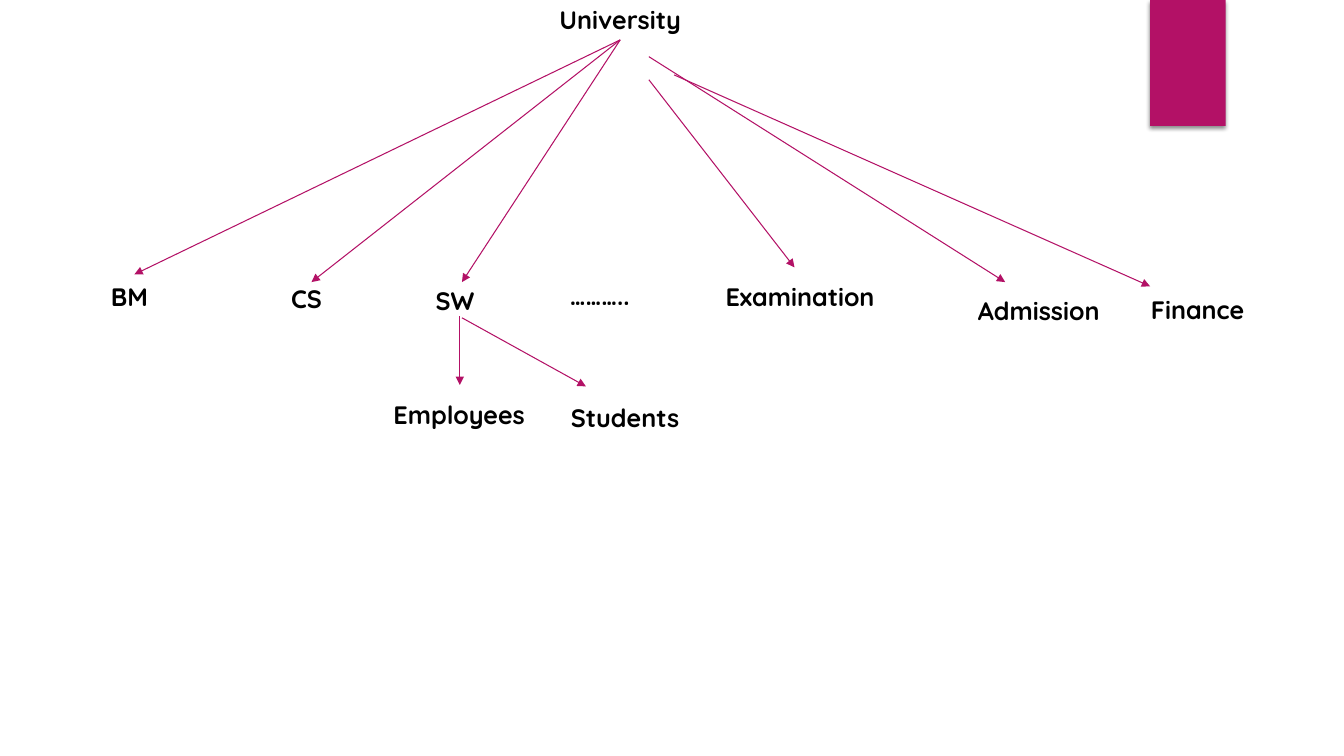
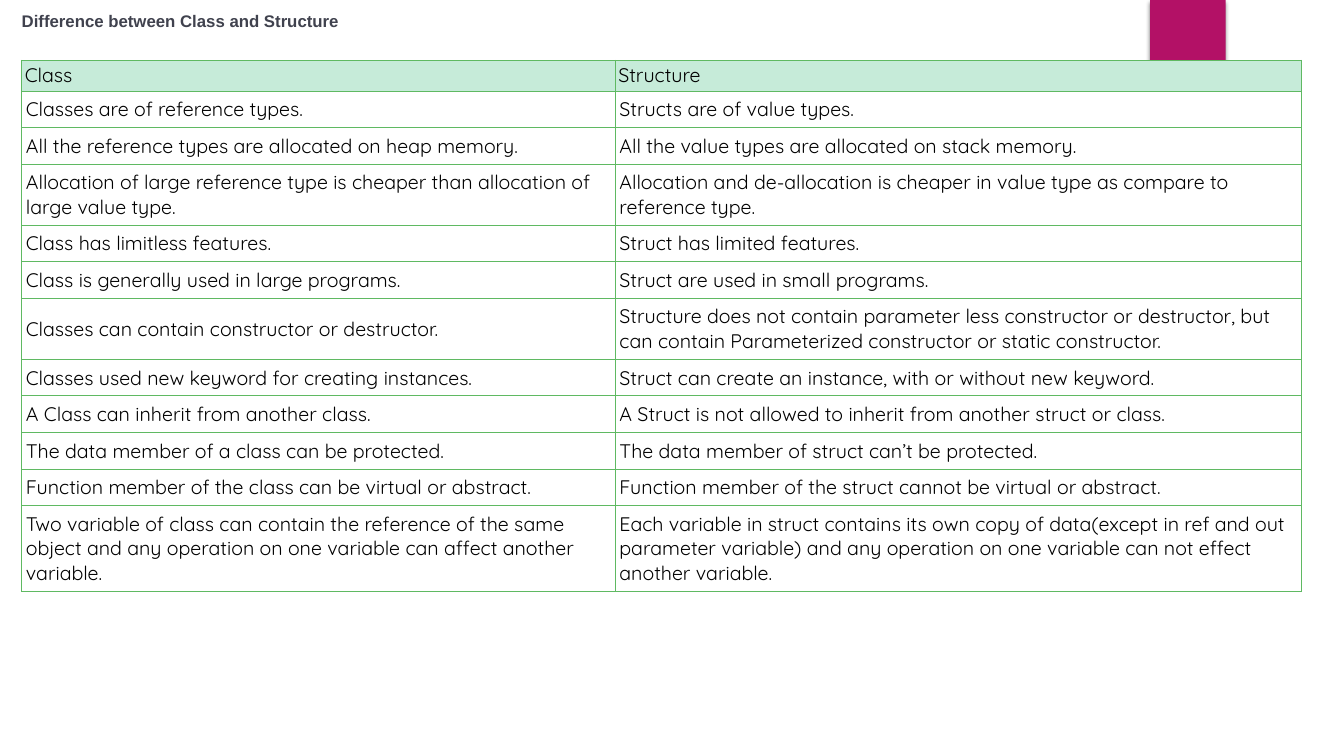
from lxml import etree
from pptx import Presentation
from pptx.dml.color import RGBColor
from pptx.enum.shapes import MSO_CONNECTOR, MSO_SHAPE
from pptx.enum.text import MSO_ANCHOR, MSO_AUTO_SIZE, PP_ALIGN
from pptx.oxml import parse_xml
from pptx.oxml.ns import nsdecls, qn
from pptx.util import Pt

STRAIGHT = MSO_CONNECTOR.STRAIGHT
RECTANGLE = MSO_SHAPE.RECTANGLE
TOP, MIDDLE = MSO_ANCHOR.TOP, MSO_ANCHOR.MIDDLE
NO_FIT, GROW = MSO_AUTO_SIZE.NONE, MSO_AUTO_SIZE.SHAPE_TO_FIT_TEXT
LEFT, CENTER = PP_ALIGN.LEFT, PP_ALIGN.CENTER
TITLE_ONLY = 5
BOTTOM_SIDE = 2

ACCENT, BLACK, WHITE = "B31166", "000000", "FFFFFF"
HEADING, BORDER, HEADER_FILL = "40424E", "5FB962", "C6EBD9"
FONT, HEADING_FONT = "Quicksand", "Arial"
LABEL_SIZE = (149, 29)

UNIVERSITY = (368.5, -0.5)
UNITS = [
    ("BM", 18, 197.5), ("CS", 144.5, 198.5), ("SW", 250.5, 200),
    ("………..", 354, 196.5), ("Examination", 497, 197.5),
    ("Admission", 667.5, 207.5), ("Finance", 781, 206.5),
    ("Employees", 253.5, 281.5), ("Students", 372, 283.5),
]
JOINED_TIPS = [(96, 196), (222.5, 201.5), (330, 201.5)]
FREE_ARROWS = [
    ((463.5, 57), (567.5, 191)),
    ((463.5, 40.5), (718, 201.5)),
    ((481.5, 53.5), (821.5, 204.5)),
    ((328.5, 226), (328.5, 275)),
    ((330, 227), (418.5, 276)),
]

HEADERS = ("Class", "Structure")
COMPARISON = [
    (1, "Classes are of reference types.", "Structs are of value types."),
    (1, "All the reference types are allocated on heap memory.",
     "All the value types are allocated on stack memory."),
    (2, "Allocation of large reference type is cheaper than allocation of large value type.",
     "Allocation and de-allocation is cheaper in value type as compare to reference type."),
    (1, "Class has limitless features.", "Struct has limited features."),
    (1, "Class is generally used in large programs.", "Struct are used in small programs."),
    (2, "Classes can contain constructor or destructor.",
     "Structure does not contain parameter less constructor or destructor, "
     "but can contain Parameterized constructor or static constructor."),
    (1, "Classes used new keyword for creating instances.",
     "Struct can create an instance, with or without new keyword."),
    (1, "A Class can inherit from another class.",
     "A Struct is not allowed to inherit from another struct or class."),
    (1, "The data member of a class can be protected.",
     "The data member of struct can’t be protected."),
    (1, "Function member of the class can be virtual or abstract.",
     "Function member of the struct cannot be virtual or abstract."),
    (3, "Two variable of class can contain the reference of the same object "
     "and any operation on one variable can affect another variable.",
     "Each variable in struct contains its own copy of data(except in ref and out "
     "parameter variable) and any operation on one variable can not effect another variable."),
]


def color(value):
    return RGBColor.from_string(value)


class Deck:
    """Hold the shared style and the current slide."""

    def __init__(self):
        self.presentation = Presentation()
        self.presentation.slide_width = Pt(960)
        self.presentation.slide_height = Pt(540)
        self.slide = None

    def new_slide(self):
        layout = self.presentation.slide_layouts[TITLE_ONLY]
        self.slide = self.presentation.slides.add_slide(layout)
        self.band()

    def band(self):
        shape = self.slide.shapes.add_shape(RECTANGLE, Pt(821.5), 0, Pt(54), Pt(90))
        shape.fill.solid()
        shape.fill.fore_color.rgb = color(ACCENT)
        shape.line.fill.background()
        shape.shadow.inherit = False
        effects = shape._element.spPr.find(qn("a:effectLst"))
        effects.append(parse_xml(
            f'<a:outerShdw {nsdecls("a")} blurRad="{Pt(3)}" dist="{Pt(2)}" dir="5400000">'
            f'<a:srgbClr val="{BLACK}"><a:alpha val="45000"/></a:srgbClr></a:outerShdw>'))

    def set_text(self, frame, text, size, bold=False, font=FONT, ink=BLACK, align=LEFT):
        frame.text = text
        frame.word_wrap = True
        paragraph = frame.paragraphs[0]
        paragraph.alignment = align
        for run in paragraph.runs:
            run.font.name = font
            run.font.size = Pt(size)
            run.font.bold = bold
            run.font.color.rgb = color(ink)

    def place_title(self, left, top, width, height):
        title = self.slide.shapes.title
        title.left, title.top = Pt(left), Pt(top)
        title.width, title.height = Pt(width), Pt(height)
        title.text_frame.vertical_anchor = TOP
        return title

    def format_label(self, shape, text):
        self.set_text(shape.text_frame, text, 18, bold=True, align=CENTER)
        shape.text_frame.auto_size = GROW

    def root_label(self, text, left, top):
        title = self.place_title(left, top, *LABEL_SIZE)
        self.format_label(title, text)
        return title

    def heading(self, text):
        frame = self.place_title(15.5, 7.5, 266, 36).text_frame
        self.set_text(frame, text, 12, True, HEADING_FONT, HEADING)
        frame.auto_size = NO_FIT
        self.set_margins(frame, 0, 0)

    def label(self, text, left, top):
        width, height = LABEL_SIZE
        shape = self.slide.shapes.add_textbox(Pt(left), Pt(top), Pt(width), Pt(height))
        self.format_label(shape, text)

    def arrow(self, start, end, source=None):
        points = [Pt(value) for value in (*start, *end)]
        connector = self.slide.shapes.add_connector(STRAIGHT, *points)
        if source is not None:
            connector.begin_connect(source, BOTTOM_SIDE)
        connector.line.color.rgb = color(ACCENT)
        connector.line.width = Pt(0.75)
        etree.SubElement(connector.line._get_or_add_ln(), qn("a:tailEnd"), type="triangle")
        etree.SubElement(connector._element.spPr, qn("a:effectLst"))

    def set_margins(self, target, horizontal, vertical):
        target.margin_left = target.margin_right = Pt(horizontal)
        target.margin_top = target.margin_bottom = Pt(vertical)

    def cell(self, cell, text, fill, horizontal, vertical):
        self.set_text(cell.text_frame, text, 14)
        cell.vertical_anchor = MIDDLE
        self.set_margins(cell, horizontal, vertical)
        properties = cell._tc.get_or_add_tcPr()
        for side in "LRTB":
            properties.append(parse_xml(
                f'<a:ln{side} {nsdecls("a")} w="{Pt(0.75)}"><a:solidFill>'
                f'<a:srgbClr val="{BORDER}"/></a:solidFill></a:ln{side}>'))
        cell.fill.solid()
        cell.fill.fore_color.rgb = color(fill)

    def table(self, headers, rows, left, top, widths):
        heights = [22] + [8.5 + 17.5 * lines for lines, *_ in rows]
        table = self.slide.shapes.add_table(
            len(heights), len(widths), Pt(left), Pt(top), Pt(sum(widths)), Pt(sum(heights))).table
        table.first_row = table.horz_banding = False
        for column, width in zip(table.columns, widths):
            column.width = Pt(width)
        for row, height in zip(table.rows, heights):
            row.height = Pt(height)
        for column, text in enumerate(headers):
            self.cell(table.cell(0, column), text, HEADER_FILL, 2.2, 2.2)
        for row, (_, *texts) in enumerate(rows, 1):
            for column, text in enumerate(texts):
                self.cell(table.cell(row, column), text, WHITE, 3, 4.3)


def main():
    deck = Deck()

    deck.new_slide()
    university = deck.root_label("University", *UNIVERSITY)
    for text, left, top in UNITS:
        deck.label(text, left, top)
    for tip in JOINED_TIPS:
        deck.arrow((443, 28.5), tip, university)
    for start, end in FREE_ARROWS:
        deck.arrow(start, end)

    deck.new_slide()
    deck.heading("Difference between Class and Structure")
    deck.table(HEADERS, COMPARISON, 15.5, 43, (424, 490))

    deck.presentation.save("out.pptx")


if __name__ == "__main__":
    main()
